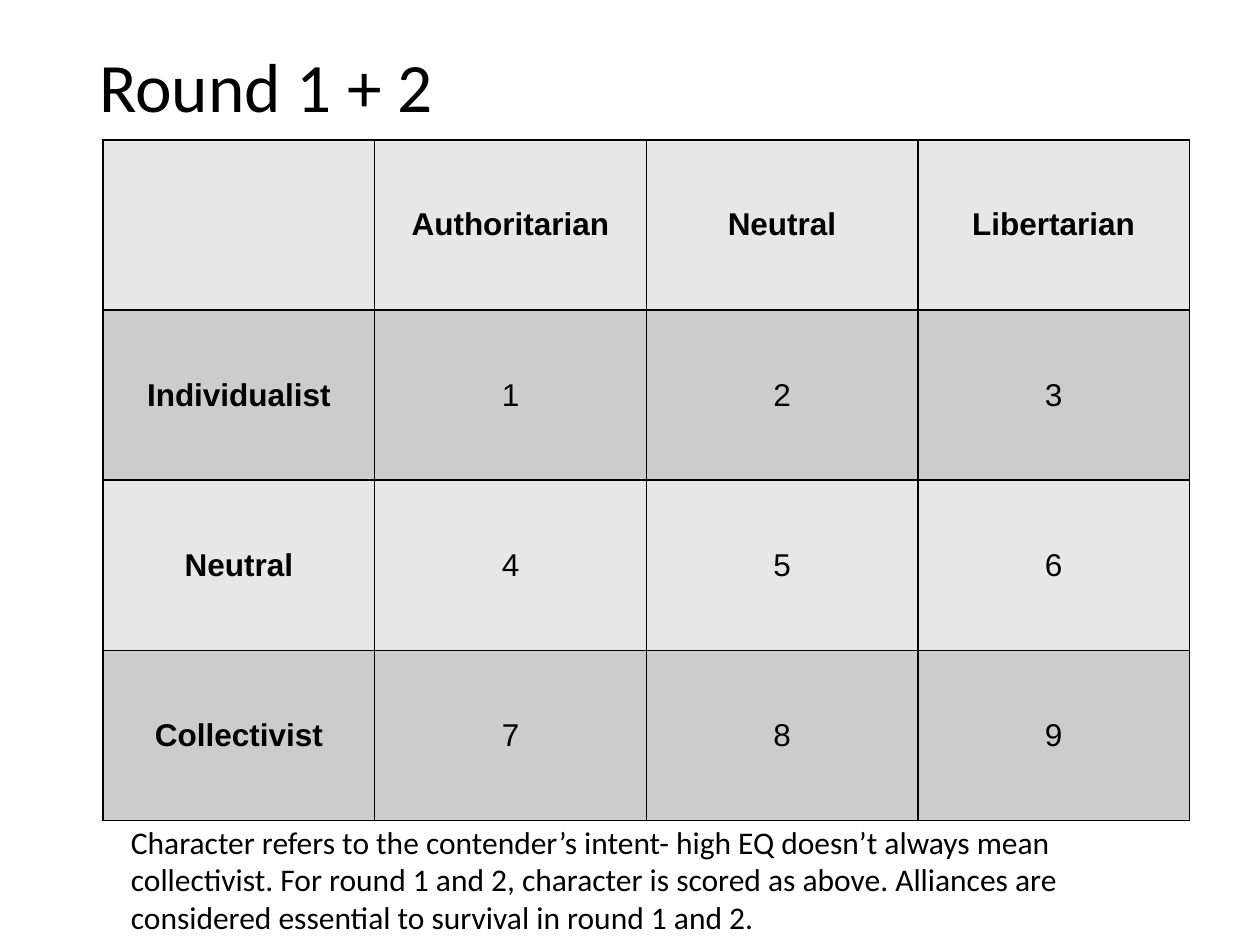
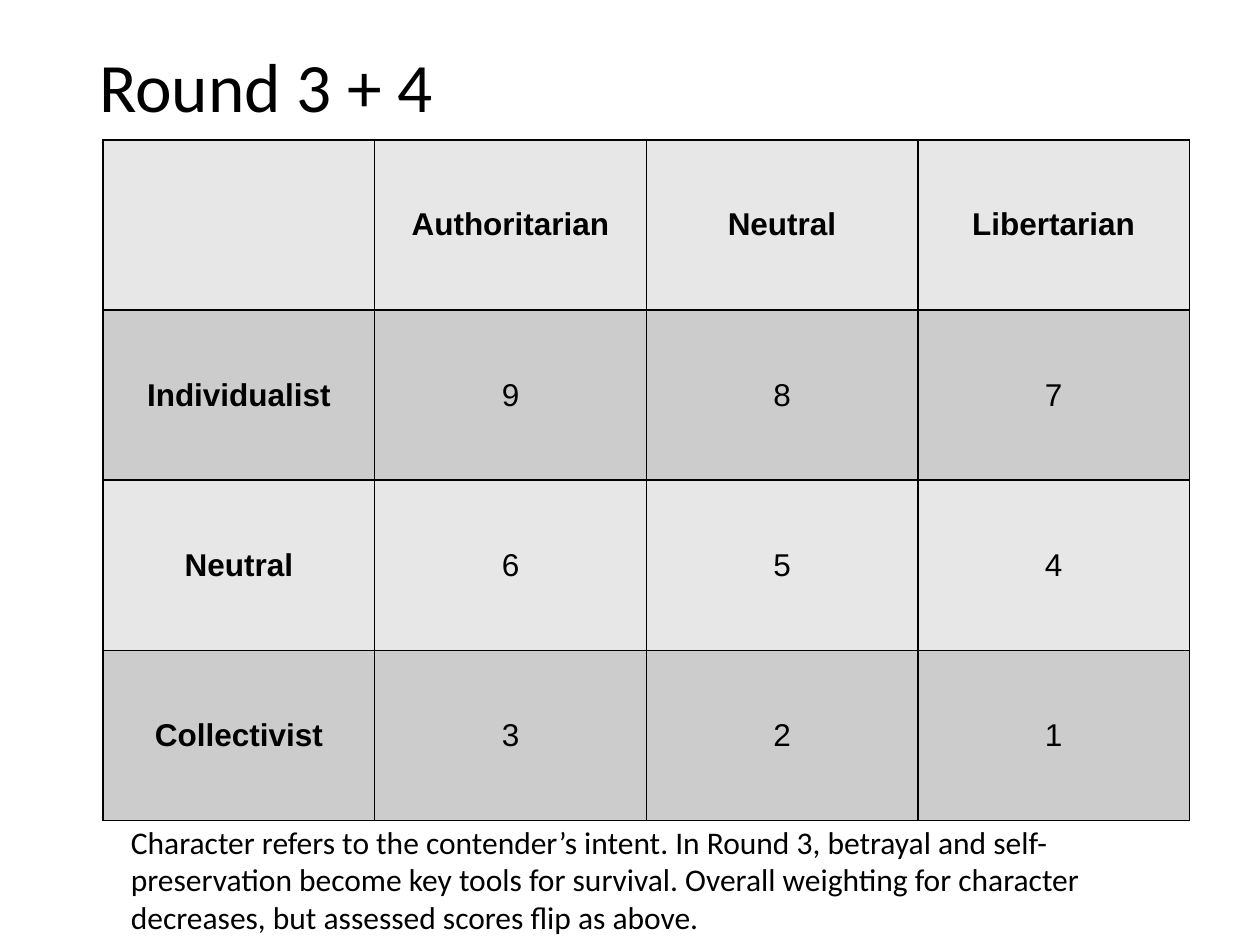
from dataclasses import dataclass

from lxml import etree
from pptx import Presentation
from pptx import util as u
from pptx.dml.color import RGBColor
from pptx.enum import text
from pptx.oxml import ns


@dataclass(frozen=True)
class Theme:
    ink: str = "000000"
    light_row: str = "E7E7E7"
    dark_row: str = "CCCCCC"
    heading_font: str = "Calibri"
    table_font: str = "Arial"
    title_size: float = 39.6
    body_size: float = 18
    border: float = 1


@dataclass(frozen=True)
class Box:
    left: float
    top: float
    width: float
    height: float

    def lengths(self) -> list[u.Cm]:
        return [u.Cm(v) for v in (self.left, self.top, self.width, self.height)]


@dataclass(frozen=True)
class Round:
    title: str
    scores: range
    note: str


THEME = Theme()
TITLE_BOX = Box(1.75, 1.02, 21.9, 1.6)
GRID_BOX = Box(2.08, 2.82, 21.9, 13.72)
NOTE_BOX = Box(2.39, 16.46, 20.6, 2.57)

ATTITUDES = ["Authoritarian", "Neutral", "Libertarian"]
CHARACTERS = ["Individualist", "Neutral", "Collectivist"]

ROUNDS = [
    Round(
        "Round 1 + 2",
        range(1, 10),
        "Character refers to the contender’s intent- high EQ doesn’t always mean "
        "collectivist. For round 1 and 2, character is scored as above. Alliances "
        "are considered essential to survival in round 1 and 2.",
    ),
    Round(
        "Round 3 + 4",
        range(9, 0, -1),
        "Character refers to the contender’s intent. In Round 3, betrayal and "
        "self-preservation become key tools for survival. Overall weighting for "
        "character decreases, but assessed scores flip as above.",
    ),
]


def style(p, font: str, size: float, bold: bool = False) -> None:
    p.font.name = font
    p.font.size = u.Pt(size)
    p.font.bold = bold
    p.font.color.rgb = RGBColor.from_string(THEME.ink)


def add_text(s, box: Box, words: str, size: float, anchor: text.MSO_ANCHOR):
    tf = s.shapes.add_textbox(*box.lengths()).text_frame
    tf.word_wrap = True
    tf.vertical_anchor = anchor
    p = tf.paragraphs[0]
    p.text = words
    style(p, THEME.heading_font, size)
    return p


def add_borders(cell) -> None:
    tc_pr = cell._tc.get_or_add_tcPr()
    for side in ("a:lnL", "a:lnR", "a:lnT", "a:lnB"):
        line = etree.SubElement(tc_pr, ns.qn(side), w=str(u.Pt(THEME.border)))
        fill = etree.SubElement(line, ns.qn("a:solidFill"))
        etree.SubElement(fill, ns.qn("a:srgbClr"), val=THEME.ink)


def add_score_grid(s, scores: range) -> None:
    n = len(ATTITUDES)
    rows = [["", *ATTITUDES]]
    for i, character in enumerate(CHARACTERS):
        rows.append([character, *map(str, scores[i * n:(i + 1) * n])])

    table = s.shapes.add_table(len(rows), n + 1, *GRID_BOX.lengths()).table
    for column in table.columns:
        column.width = u.Cm(GRID_BOX.width / (n + 1))
    for i, row in enumerate(rows):
        table.rows[i].height = u.Cm(GRID_BOX.height / len(rows))
        shade = THEME.dark_row if i % 2 else THEME.light_row
        for j, words in enumerate(row):
            cell = table.cell(i, j)
            add_borders(cell)
            cell.fill.solid()
            cell.fill.fore_color.rgb = RGBColor.from_string(shade)
            cell.vertical_anchor = text.MSO_ANCHOR.MIDDLE
            p = cell.text_frame.paragraphs[0]
            p.text = words
            p.alignment = text.PP_ALIGN.CENTER
            style(p, THEME.table_font, THEME.body_size, bold=i == 0 or j == 0)


def add_round_slide(prs, game_round: Round) -> None:
    s = prs.slides.add_slide(prs.slide_layouts[6])
    title = add_text(s, TITLE_BOX, game_round.title, THEME.title_size,
                     text.MSO_ANCHOR.MIDDLE)
    title.line_spacing = 0.9
    add_score_grid(s, game_round.scores)
    add_text(s, NOTE_BOX, game_round.note, THEME.body_size, text.MSO_ANCHOR.TOP)


def main() -> None:
    prs = Presentation()
    prs.slide_width, prs.slide_height = u.Cm(25.4), u.Cm(19.05)
    for game_round in ROUNDS:
        add_round_slide(prs, game_round)
    prs.save("out.pptx")


if __name__ == "__main__":
    main()
